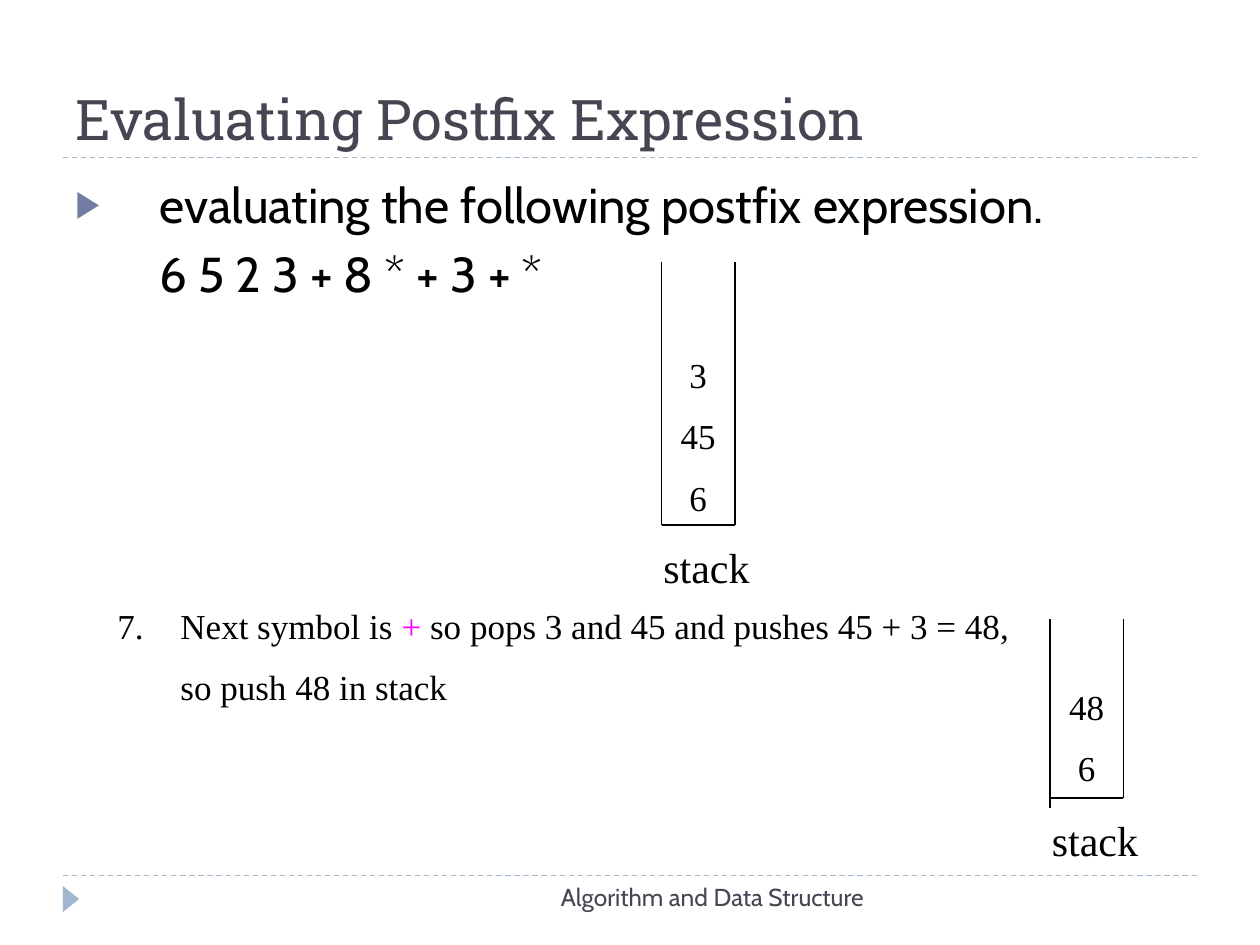
from lxml.etree import SubElement as Sub
from pptx import Presentation
from pptx.dml.color import RGBColor
from pptx.enum.dml import MSO_LINE as Dash
from pptx.enum.shapes import MSO_CONNECTOR as Link, MSO_SHAPE as Shape
from pptx.enum.text import MSO_ANCHOR as Anchor, PP_ALIGN as Align
from pptx.oxml.ns import qn
from pptx.util import Inches, Pt

COLS, ROWS = 120, 90
WIDE, HIGH = Inches(10), Inches(7.5)
SERIF, SANS, SLAB = "Times New Roman", "Cabin", "Roboto Slab"
BLACK, SLATE, PALE, PINK = "000000", "464653", "9FB8CD", "FF00FF"
STEP = 5.64


def col(n):
    return int(WIDE * n / COLS)


def row(n):
    return int(HIGH * n / ROWS)


def place(box):
    x, y, w, h = box
    return col(x), row(y), col(w), row(h)


def hue(code):
    return RGBColor.from_string(code)


def mark(props, tag, **attrs):
    node = Sub(props, qn(f"a:{tag}"))
    for key, val in attrs.items():
        node.set(key, val)
    return node


def write(slide, box, lines, size=20, font=SERIF, color=BLACK, align=Align.LEFT,
          anchor=Anchor.TOP, gap=0, left=0, bullet=None):
    frame = slide.shapes.add_textbox(*place(box)).text_frame
    frame.word_wrap = True
    frame.vertical_anchor = anchor
    for i, line in enumerate(lines):
        para = frame.paragraphs[0] if i == 0 else frame.add_paragraph()
        para.alignment = align
        para.space_before = Pt(gap if i else 0)
        runs = [(line, color)] if isinstance(line, str) else line
        for text, tint in runs:
            run = para.add_run()
            run.text = text
            run.font.size = Pt(size)
            run.font.name = font
            run.font.color.rgb = hue(tint)
        props = para._p.get_or_add_pPr()
        props.set("marL", str(col(left)))
        if bullet and i == 0:
            props.set("indent", str(-col(left)))
            bullet(props)
    return frame


def rule(slide, x1, y1, x2, y2, color=BLACK, dash=None):
    line = slide.shapes.add_connector(Link.STRAIGHT, col(x1), row(y1), col(x2), row(y2))
    line.line.width = Pt(0.75)
    line.line.color.rgb = hue(color)
    if dash:
        line.line.dash_style = dash
    Sub(line._element.spPr, qn("a:effectLst"))


def arrow(props):
    mark(mark(props, "buClr"), "srgbClr", val="727CA3")
    mark(props, "buSzPct", val="76000")
    mark(props, "buFont", typeface="Arial")
    mark(props, "buChar", char="▶")


def seven(props):
    mark(props, "buFont", typeface=SERIF)
    mark(props, "buAutoNum", type="arabicPeriod", startAt="7")


def frame(slide, box):
    x, y, w, h = box
    for level in (y, y + h):
        rule(slide, x, level, x + w, level, PALE, Dash.DASH)
    tip = slide.shapes.add_shape(Shape.ISOSCELES_TRIANGLE, *place((x - 0.5, y + h + 1.45, 2.5, 1.55)))
    tip.rotation = 90
    tip.shadow.inherit = False
    tip.fill.solid()
    tip.fill.fore_color.rgb = hue(PALE)
    tip.line.fill.background()
    write(slide, (x + 32, y + h, 46, 4.8), ["Algorithm and Data Structure "],
          size=14, font=SANS, color=SLATE, align=Align.RIGHT)


def stack(slide, box, items, tail=0):
    x, y, w, h = box
    floor = y + h
    rule(slide, x, floor, x + w, floor)
    rule(slide, x + w, y, x + w, floor)
    rule(slide, x, y, x, floor + tail)
    deep = STEP * len(items)
    write(slide, (x, floor - deep, w, deep), items, align=Align.CENTER, gap=11)
    write(slide, (x - 1, floor + 1, 11, 6), ["stack"], size=24)


def main():
    deck = Presentation()
    deck.slide_width, deck.slide_height = WIDE, HIGH
    slide = deck.slides.add_slide(deck.slide_layouts[6])
    frame(slide, (6, 15, 108, 68.4))
    write(slide, (6, 2, 108, 13), ["Evaluating Postfix Expression"],
          size=32, font=SLAB, color=SLATE, anchor=Anchor.BOTTOM)
    write(slide, (6, 16, 98, 16),
          ["evaluating the following postfix expression.", "6 5 2 3 + 8 * + 3 + *"],
          size=28, font=SANS, gap=6, left=8, bullet=arrow)
    write(slide, (10, 57, 106, 11.25),
          [[("Next symbol is ", BLACK), ("+", PINK),
            (" so pops 3 and 45 and pushes 45 + 3 = 48,", BLACK)],
           "so push 48 in stack"], gap=11, left=6, bullet=seven)
    stack(slide, (63, 25, 7, 25), ["3", "45", "6"])
    stack(slide, (100, 59, 7, 17), ["48", "6"], tail=1)
    deck.save("out.pptx")


if __name__ == "__main__":
    main()
